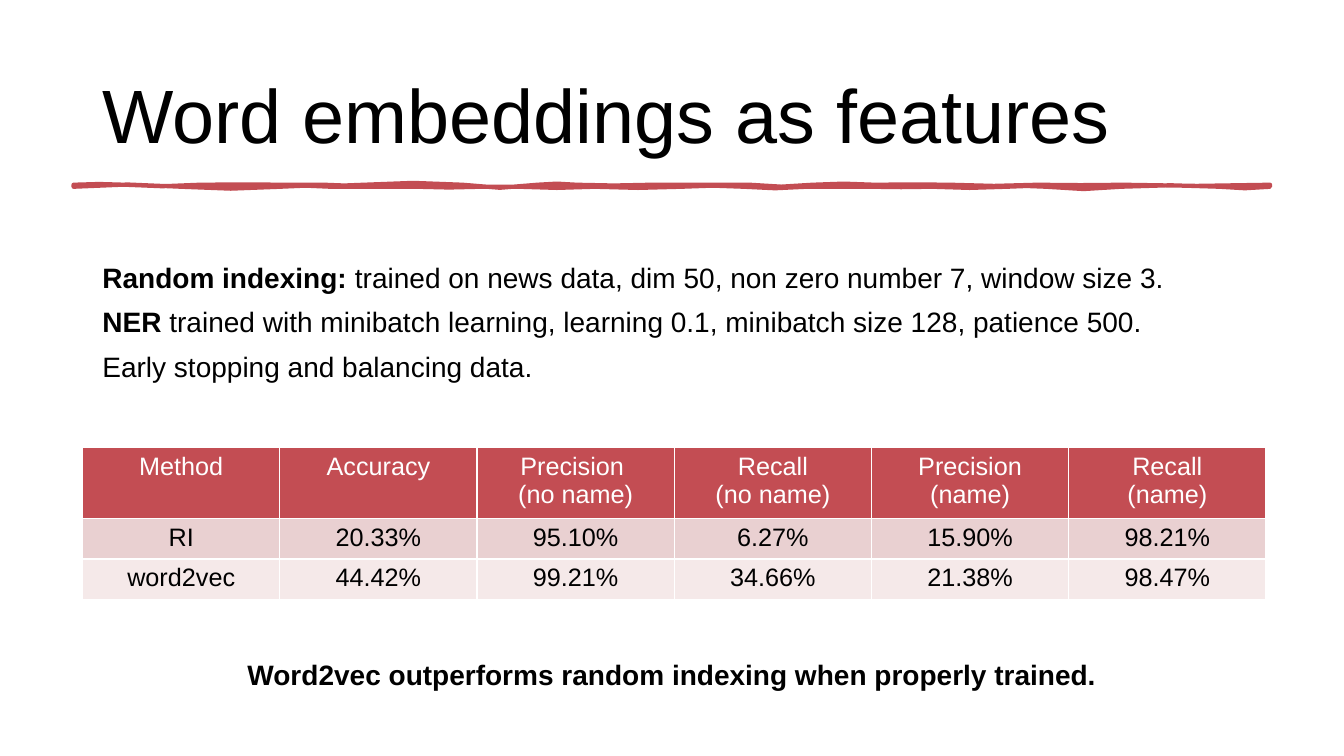
from lxml.etree import SubElement
from pptx import Presentation
from pptx.dml.color import RGBColor
from pptx.enum.shapes import MSO_SHAPE as SHAPE
from pptx.enum.text import MSO_ANCHOR as ANCHOR, PP_ALIGN as ALIGN
from pptx.oxml.ns import qn
from pptx.util import Inches, Pt

SLIDE_W, SLIDE_H = Inches(13.33), Inches(7.5)
COLS, ROWS = 160, 90
RED, BLACK, WHITE = "C34D53", "000000", "FFFFFF"

UPPER_EDGE = [
    (51, -2, 0), (74, 1, 3), (86, -2, 1), (38, 0, 0), (39, 1, 1), (98, -1, -4),
    (74, 5, 3), (39, -2, -1), (74, 2, 0), (98, 1, -1), (62, 2, 3), (62, -2, -1),
    (75, 2, -3), (86, 4, -1), (86, 2, -1), (145, 2, 1),
]
LOWER_EDGE = [
    (50, 2, 2), (98, -1, -3), (74, 4, 2), (39, -1, -1), (74, 2, 1), (62, 0, 1),
    (63, 0, 0), (62, 1, 3), (62, -2, -1), (86, 2, 1), (75, 0, 3), (38, -2, 2),
    (63, -1, 3), (86, -2, 2), (50, -2, -1), (98, 2, 3), (107, -3, -3),
]
BODY = [
    (0, ALIGN.LEFT, [
        ("Random indexing: ", True),
        ("trained on news data, dim 50, non zero number 7, window size 3.", False)]),
    (10, ALIGN.LEFT, [
        ("NER", True),
        (" trained with minibatch learning, learning 0.1, minibatch size 128, patience 500.", False)]),
    (10, ALIGN.LEFT, [("Early stopping and balancing data.", False)]),
    (199, ALIGN.CENTER, [("Word2vec outperforms random indexing when properly trained.", True)]),
]
RESULTS = [
    ["Method", "Accuracy", "Precision \n(no name)", "Recall\n(no name)",
     "Precision\n(name)", "Recall\n(name)"],
    ["RI", "20.33%", "95.10%", "6.27%", "15.90%", "98.21%"],
    ["word2vec", "44.42%", "99.21%", "34.66%", "21.38%", "98.47%"],
]
ROW_COLORS = [(RED, WHITE), ("E9D0D1", BLACK), ("F5E9E9", BLACK)]


def color(hex_text):
    return RGBColor.from_string(hex_text)


def grid(col, row, width, height):
    cw, rh = SLIDE_W / COLS, SLIDE_H / ROWS
    return [int(v) for v in (col * cw, row * rh, width * cw, height * rh)]


def style(p, size, hex_text, align=ALIGN.LEFT):
    p.alignment = align
    p.font.name = "Arial"
    p.font.size = Pt(size)
    p.font.color.rgb = color(hex_text)


def paint(sp, hex_text):
    sp.shadow.inherit = False
    sp.fill.solid()
    sp.fill.fore_color.rgb = color(hex_text)


def add_backdrop(s, box):
    sp = s.shapes.add_shape(SHAPE.RECTANGLE, *box)
    paint(sp, WHITE)
    sp.line.fill.background()


def add_title(s, box):
    tf = s.shapes.add_textbox(*box).text_frame
    tf.word_wrap = True
    tf.vertical_anchor = ANCHOR.MIDDLE
    tf.text = "Word embeddings as features"
    style(tf.paragraphs[0], 54, BLACK)


def add_body(s, box):
    tf = s.shapes.add_textbox(*box).text_frame
    tf.word_wrap = True
    tf.margin_top = int(box[3] * 0.1)
    for i, (gap, align, runs) in enumerate(BODY):
        p = tf.add_paragraph() if i else tf.paragraphs[0]
        style(p, 20, BLACK, align)
        p.line_spacing = 0.9
        p.space_before = Pt(gap)
        for text, bold in runs:
            r = p.add_run()
            r.text = text
            r.font.bold = bold


def edge_points(edge, x, y, direction, unit):
    points = []
    for span, first, second in edge:
        middle = 3 * (first + second) / 8
        points.append((x + direction * span * unit / 2, y + middle * unit))
        x += direction * span * unit
        points.append((x, y))
    return points


def add_brush_rule(s, box):
    x, y, w, h = box
    unit = w / sum(span for span, _, _ in UPPER_EDGE)
    points = edge_points(UPPER_EDGE, x, y, 1, unit)
    points += [(x + w, y + h)] + edge_points(LOWER_EDGE, x + w, y + h, -1, unit)
    builder = s.shapes.build_freeform(x, y)
    builder.add_line_segments(points, close=True)
    sp = builder.convert_to_shape()
    paint(sp, RED)
    sp.line.color.rgb = color(RED)
    sp.line.width = Pt(3)


def add_borders(cell):
    props = cell._tc.get_or_add_tcPr()
    for i, side in enumerate("LRTB"):
        ln = SubElement(props, qn("a:ln" + side), w=str(Pt(1)))
        fill = SubElement(ln, qn("a:solidFill"))
        SubElement(fill, qn("a:srgbClr"), val=WHITE)
        props.insert(i, ln)


def add_results(s, box):
    table = s.shapes.add_table(len(RESULTS), len(RESULTS[0]), *box).table
    for row, values, (fill, ink) in zip(table.rows, RESULTS, ROW_COLORS):
        for cell, value in zip(row.cells, values):
            cell.text = value
            cell.fill.solid()
            cell.fill.fore_color.rgb = color(fill)
            for p in cell.text_frame.paragraphs:
                style(p, 18, ink, ALIGN.CENTER)
            add_borders(cell)


def build_slide(prs):
    s = prs.slides.add_slide(prs.slide_layouts[6])
    add_backdrop(s, grid(0, 0, COLS, ROWS))
    add_brush_rule(s, grid(8.76, 22, 142.44, 0.24))
    add_title(s, grid(11, 4.8, 138, 17.4))
    add_body(s, grid(11, 25.32, 138, 61.56))
    add_results(s, grid(9.84, 53.28, 140.88, 14.6))


def main():
    prs = Presentation()
    prs.slide_width, prs.slide_height = SLIDE_W, SLIDE_H
    build_slide(prs)
    prs.save("out.pptx")


if __name__ == "__main__":
    main()
